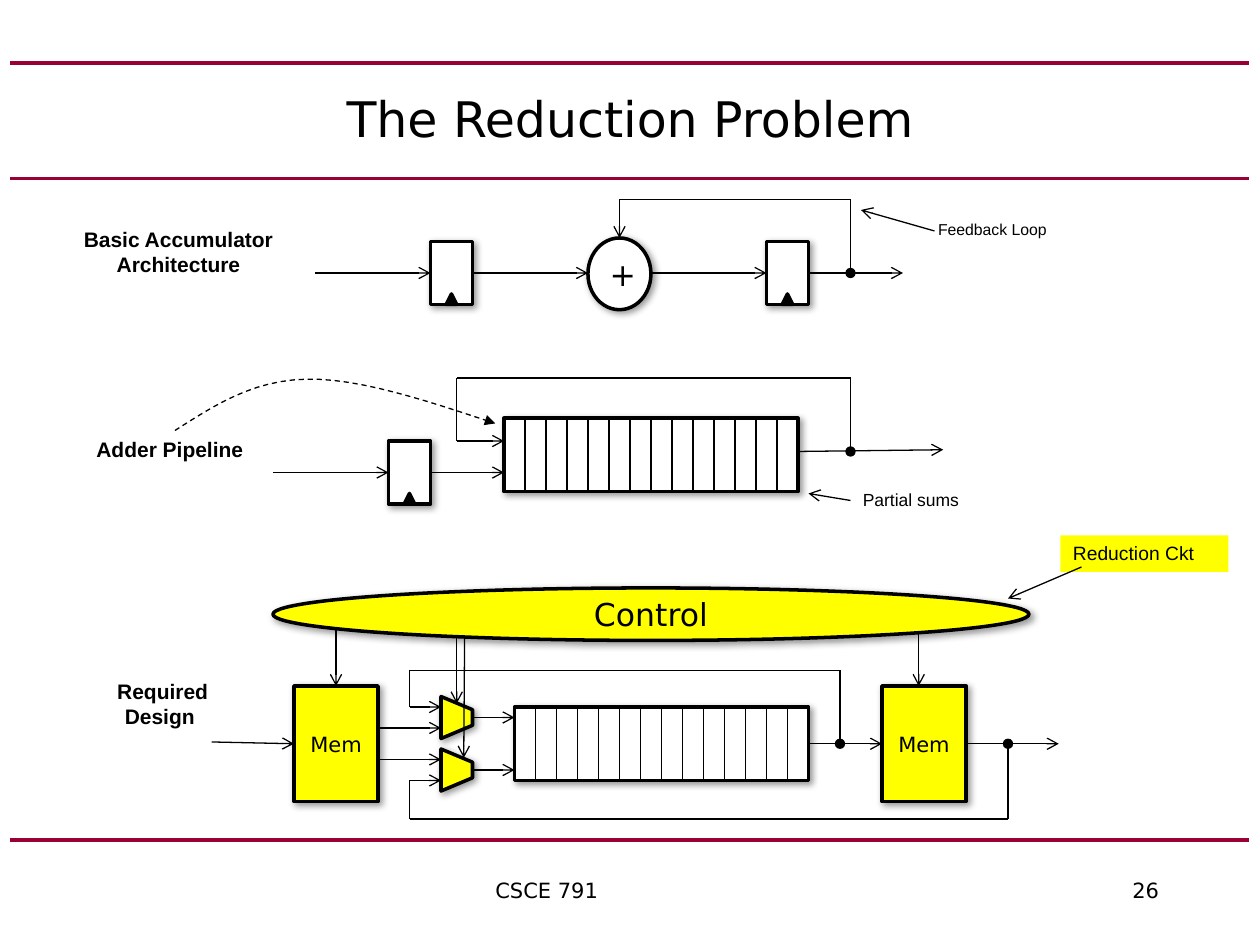
import pptx
import pptx.dml.color
import pptx.enum.dml
import pptx.enum.shapes
import pptx.enum.text
import pptx.oxml
import pptx.oxml.ns
import pptx.util

Pt = pptx.util.Pt
RGBColor = pptx.dml.color.RGBColor
qn = pptx.oxml.ns.qn
Shape = pptx.enum.shapes.MSO_SHAPE
Align = pptx.enum.text.PP_ALIGN
Anchor = pptx.enum.text.MSO_ANCHOR

theme = {
    "black": RGBColor(0, 0, 0),
    "white": RGBColor(255, 255, 255),
    "yellow": RGBColor(255, 255, 0),
    "maroon": RGBColor(0x99, 0, 0x33),
    "title": {"name": "DejaVu Sans", "size": Pt(28)},
    "block": {"name": "DejaVu Sans", "size": Pt(18)},
    "memory": {"name": "DejaVu Sans", "size": Pt(12)},
    "heading": {"name": "Arial", "size": Pt(12), "bold": True},
    "callout": {"name": "Arial", "size": Pt(11)},
    "note": {"name": "Arial", "size": Pt(10)},
    "small": {"name": "Arial", "size": Pt(9)},
}


def write_text(shape, text, style, alignment, anchor, tabs=()):
    frame = shape.text_frame
    frame.word_wrap = True
    frame.vertical_anchor = anchor
    paragraph = frame.paragraphs[0]
    paragraph.text = text
    paragraph.alignment = alignment
    if tabs:
        stops = pptx.oxml.parse_xml(f'<a:tabLst {pptx.oxml.ns.nsdecls("a")}/>')
        for position in tabs:
            stop = stops.makeelement(qn("a:tab"), {"pos": str(Pt(position)), "algn": "l"})
            stops.append(stop)
        paragraph._p.get_or_add_pPr().append(stops)
    font = paragraph.runs[0].font
    font.color.rgb = theme["black"]
    for name, value in theme[style].items():
        setattr(font, name, value)


def style_line(shape, color="black", width=0.75, head=None, tail=None, dash=None):
    shape.line.color.rgb = theme[color]
    shape.line.width = Pt(width)
    if dash:
        shape.line.dash_style = dash
    outline = shape.line._get_or_add_ln()
    for tag, mark in (("a:headEnd", head), ("a:tailEnd", tail)):
        if mark:
            outline.append(outline.makeelement(qn(tag), {"type": mark}))


presentation = pptx.Presentation()
presentation.slide_width = Pt(720)
presentation.slide_height = Pt(540)
slide = presentation.slides.add_slide(presentation.slide_layouts[6])
shapes = slide.shapes

registers = [(246, 138), (438, 138), (222, 252)]
pipelines = [(288, 239), (294, 404)]
memories = [(168, 392), (504, 392)]
multiplexers = [(249, 401), (249, 431)]
stages = 14
stage_width = 12
pipeline_height = 42

blocks = [(Shape.RECTANGLE, x, y, 24, 36, "white", None, None) for x, y in registers]
blocks += [(Shape.RECTANGLE, x, y, stages * stage_width, pipeline_height, "white", None, None)
           for x, y in pipelines]
blocks += [(Shape.RECTANGLE, x, y, 48, 66, "yellow", "Mem", "memory") for x, y in memories]
blocks += [(Shape.TRAPEZOID, x, y, 24, 18, "yellow", None, None) for x, y in multiplexers]
blocks += [
    (Shape.OVAL, 336, 136, 36, 41, "white", "+", "block"),
    (Shape.OVAL, 156, 336, 432, 30, "yellow", "Control", "block"),
]
for kind, left, top, width, height, fill, text, style in blocks:
    block = shapes.add_shape(kind, Pt(left), Pt(top), Pt(width), Pt(height))
    block.fill.solid()
    block.fill.fore_color.rgb = theme[fill]
    style_line(block, width=2)
    block.shadow.inherit = False
    block._element.spPr.find(qn("a:effectLst")).append(pptx.oxml.parse_xml(
        f'<a:outerShdw {pptx.oxml.ns.nsdecls("a")} blurRad="{Pt(4)}" dist="{Pt(2)}" '
        'dir="2700000" algn="tl" rotWithShape="0"><a:srgbClr val="000000">'
        '<a:alpha val="40000"/></a:srgbClr></a:outerShdw>'))
    if kind == Shape.TRAPEZOID:
        block.rotation = 90
        block.adjustments[0] = 0.42
    if text:
        write_text(block, text, style, Align.CENTER, Anchor.MIDDLE)

for left, top in registers:
    clock = shapes.add_shape(Shape.ISOSCELES_TRIANGLE, Pt(left + 9), Pt(top + 30), Pt(6), Pt(6))
    clock.fill.solid()
    clock.fill.fore_color.rgb = theme["black"]
    clock.shadow.inherit = False
    style_line(clock, width=2)

callout = shapes.add_shape(Shape.RECTANGLE, Pt(606), Pt(306), Pt(96), Pt(20.8))
callout.fill.solid()
callout.fill.fore_color.rgb = theme["yellow"]
callout.line.fill.background()
callout.shadow.inherit = False
write_text(callout, "Reduction Ckt", "callout", Align.LEFT, Anchor.TOP)

arrow = {"tail": "arrow"}
branch = {"head": "oval"}
plain = {}
rule = {"color": "maroon", "width": 2.25}
lines = [(6, y, 714, y, rule) for y in (36, 102, 480)]
lines += [(left + stage * stage_width, top, left + stage * stage_width, top + pipeline_height, plain)
          for left, top in pipelines for stage in range(1, stages)]
lines += [
    (180, 156, 246, 156, arrow),
    (270, 156, 336, 156, arrow),
    (372, 156, 438, 156, arrow),
    (462, 156, 516, 156, arrow),
    (486, 156, 486, 114, branch),
    (486, 114, 354, 114, plain),
    (354, 114, 354, 136, arrow),
    (156, 270, 222, 270, arrow),
    (246, 270, 288, 270, arrow),
    (456, 258, 539, 257, arrow),
    (486, 258, 486, 216, branch),
    (486, 216, 261, 216, plain),
    (261, 216, 261, 252, plain),
    (261, 252, 288, 252, arrow),
    (121, 424, 168, 425, arrow),
    (216, 416, 252, 416, arrow),
    (216, 434, 252, 434, arrow),
    (270, 410, 294, 410, arrow),
    (270, 440, 294, 440, arrow),
    (462, 425, 504, 425, arrow),
    (480, 425, 480, 383, branch),
    (480, 383, 234, 383, plain),
    (234, 383, 234, 404, plain),
    (234, 404, 252, 404, arrow),
    (552, 425, 605, 425, arrow),
    (576, 425, 576, 468, branch),
    (576, 468, 234, 468, plain),
    (234, 468, 234, 446, plain),
    (234, 446, 252, 446, arrow),
    (192, 360, 192, 392, arrow),
    (261, 364, 261, 402, arrow),
    (265.5, 364, 265, 433, arrow),
    (525, 361, 525, 392, arrow),
    (486, 286, 462, 282, arrow),
    (618, 324, 576, 342, arrow),
    (534, 132, 492, 120, arrow),
]
for start_x, start_y, end_x, end_y, line_format in lines:
    connector = shapes.add_connector(pptx.enum.shapes.MSO_CONNECTOR.STRAIGHT,
                                     Pt(start_x), Pt(start_y), Pt(end_x), Pt(end_y))
    style_line(connector, **line_format)
    properties = connector._element.spPr
    properties.append(properties.makeelement(qn("a:effectLst"), {}))

curves = [
    ((100, 246), (122.4, 231.8), (144, 217.4), (175, 216.7)),
    ((175, 216.7), (205.2, 216), (244, 229), (283, 242)),
]
steps = 12
curve_points = []
for curve in curves:
    for step in range(1, steps + 1):
        t = step / steps
        weights = ((1 - t) ** 3, 3 * t * (1 - t) ** 2, 3 * t ** 2 * (1 - t), t ** 3)
        curve_points.append(tuple(
            Pt(sum(weight * point[axis] for weight, point in zip(weights, curve)))
            for axis in (0, 1)))
builder = shapes.build_freeform(Pt(100), Pt(246))
builder.add_line_segments(curve_points, close=False)
pointer = builder.convert_to_shape()
pointer.fill.background()
pointer.shadow.inherit = False
style_line(pointer, tail="triangle", dash=pptx.enum.dml.MSO_LINE.DASH)

labels = [
    ("The Reduction Problem", 36, 36, 648, 63, "title", Align.CENTER, Anchor.MIDDLE, ()),
    ("Basic Accumulator Architecture", 36, 126, 132, 37, "heading", Align.CENTER, Anchor.TOP, ()),
    ("Adder Pipeline", 48, 246, 132, 22, "heading", Align.LEFT, Anchor.TOP, ()),
    ("Required Design ", 54, 384, 78, 37, "heading", Align.CENTER, Anchor.TOP, ()),
    ("Feedback Loop", 529, 122, 78, 18, "small", Align.LEFT, Anchor.TOP, ()),
    ("Partial sums", 486, 276, 72, 19, "note", Align.LEFT, Anchor.TOP, ()),
    ("\tCSCE 791\t26", 204, 498, 504, 24, "memory", Align.LEFT, Anchor.TOP, (72, 436)),
]
for text, left, top, width, height, style, alignment, anchor, tabs in labels:
    label = shapes.add_textbox(Pt(left), Pt(top), Pt(width), Pt(height))
    write_text(label, text, style, alignment, anchor, tabs)

presentation.save("out.pptx")
